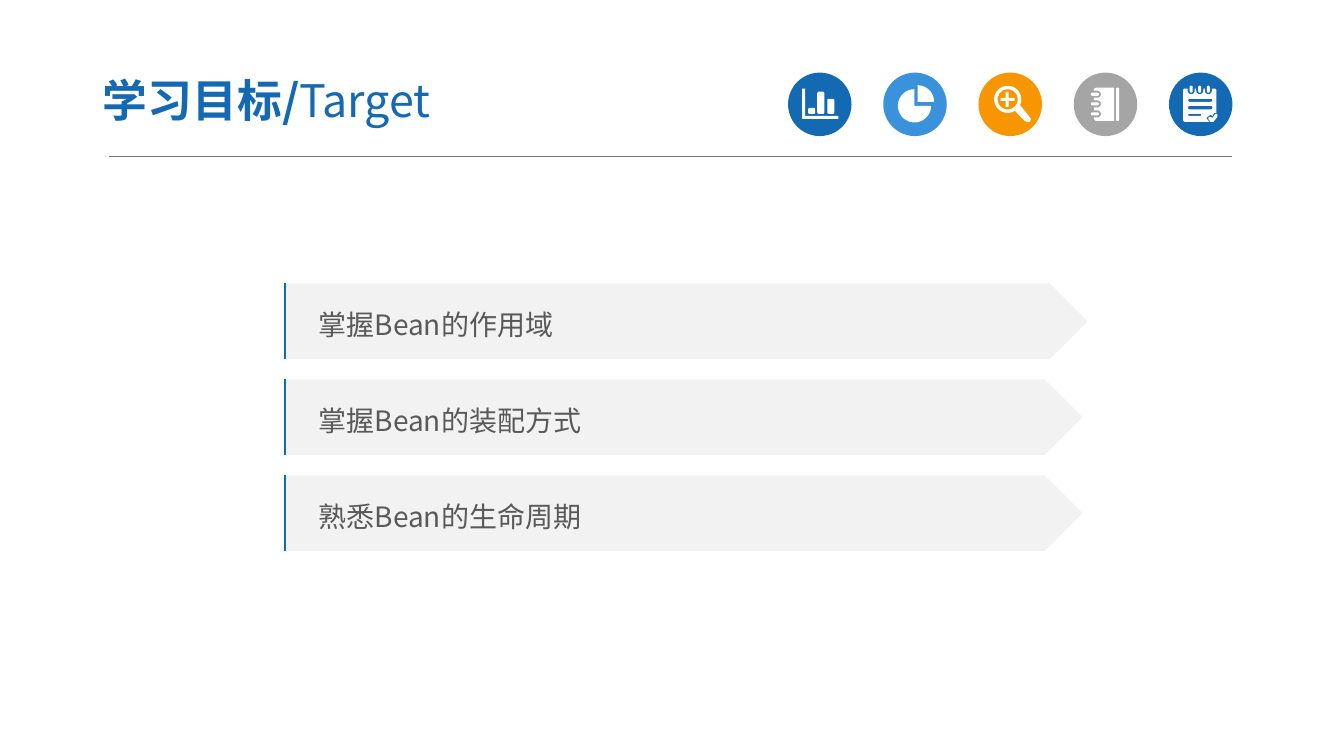
from math import cos, radians, sin

from lxml.etree import SubElement
from pptx import Presentation
from pptx.dml.color import RGBColor
from pptx.enum.shapes import MSO_CONNECTOR as Connector, MSO_SHAPE as Shape
from pptx.enum.text import MSO_ANCHOR as Anchor, MSO_AUTO_SIZE as AutoSize, PP_ALIGN as Align
from pptx.oxml.ns import qn
from pptx.util import Cm, Pt

COLORS = {
    "blue": "1369B2", "sky": "3992DB", "orange": "F79600", "gray": "A5A5A5",
    "white": "FFFFFF", "panel": "F2F2F2", "text": "595959", "rule": "767676",
}
FONT = "Noto Sans CJK SC"
BADGE_SIZE = 1.6
ICON_GRID = 63


def arc(x, y, radius, start=0, end=360):
    """Points along a circle, in degrees clockwise from the right."""
    steps = max(4, round(abs(end - start) / 10))
    angles = [radians(start + (end - start) * step / steps) for step in range(steps + 1)]
    return [(x + radius * cos(angle), y + radius * sin(angle)) for angle in angles]


def bar(left, top, right, bottom, radius=1.5):
    """Outline of a rounded rectangle."""
    return (arc(left + radius, top + radius, radius, 180, 270)
            + arc(right - radius, top + radius, radius, 270, 360)
            + arc(right - radius, bottom - radius, radius, 0, 90)
            + arc(left + radius, bottom - radius, radius, 90, 180))


# Each icon is a list of outlines on a square grid; inner outlines are holes.
def chart_icon():
    axes = [(14, 16), (17, 16), (17, 43), (50, 43), (50, 46), (14, 46)]
    columns = [(20, 35), (29, 19), (39, 26)]
    return [axes] + [bar(left, top, left + 7, 41) for left, top in columns]


def pie_icon():
    return [[(31, 33)] + arc(31, 33, 16.5, 0, 270),
            [(34, 29)] + arc(34, 29, 16.5, 270, 360)]


def magnifier_icon():
    handle = [(50, 43), (52, 46), (51, 49), (48, 49), (46, 48)]
    plus = [(27, 19), (30, 19), (30, 25), (36, 25), (36, 28), (30, 28),
            (30, 34), (27, 34), (27, 28), (22, 28), (22, 25), (27, 25)]
    return [arc(29, 26.5, 13.5, 58, 385) + handle, arc(29, 26.5, 10), plus]


def notebook_icon():
    rings = (41, 31, 21.5)
    cover = [(40, 15), (40, 48), (22, 48), (20, 46)]
    for y in rings:
        cover += [(20, y + 3.5)] + arc(23.5, y, 3.5, 90, -90) + [(20, y - 3.5)]
    cover += [(20, 16), (22, 15)]
    return [cover, bar(42, 15, 45, 48, 1)] + [bar(17, y - 1.5, 25, y + 1.5) for y in rings]


def checklist_icon():
    rings = (22, 30.5, 39)
    page = [(14, 17), (15, 16)]
    for x in rings:
        page += [(x - 3.5, 16)] + arc(x, 18, 3.5, 180, 0) + [(x + 3.5, 16)]
    page += [(46, 16), (47, 17), (47, 40), (45, 40), (43, 43), (41, 42),
             (37, 45), (40, 49), (16, 49), (14, 48)]
    check = [(48, 44), (44, 49), (41, 49), (39, 46), (39.5, 44), (41, 44),
             (43, 45), (46, 41), (48, 41)]
    lines = [bar(19, 26, 43, 29), bar(19, 33, 43, 36.5), bar(19, 41, 32, 43, 1)]
    return [page, check] + lines + [bar(x - 1.5, 13, x + 1.5, 20) for x in rings]


class SlideBuilder:
    """Holds the slide and the style shared by its elements."""

    def __init__(self, slide):
        self.slide = slide
        self.shapes = slide.shapes

    def color(self, name):
        return RGBColor.from_string(COLORS[name])

    def paint(self, shape, color):
        shape.fill.solid()
        shape.fill.fore_color.rgb = self.color(color)
        shape.line.fill.background()
        shape.shadow.inherit = False

    def style_run(self, run, size, color, bold=False):
        run.font.name = FONT
        run.font.size = Pt(size)
        run.font.bold = bold
        run.font.color.rgb = self.color(color)
        SubElement(run._r.get_or_add_rPr(), qn("a:ea")).set("typeface", FONT)

    def title(self, bold_text, light_text):
        title = self.shapes.title
        title.left, title.top, title.width, title.height = Cm(2.26), Cm(1.6), Cm(13.26), Cm(1.83)
        frame = title.text_frame
        frame.auto_size = AutoSize.NONE
        frame.word_wrap = True
        frame.vertical_anchor = Anchor.MIDDLE
        frame.margin_left = frame.margin_right = Cm(0.33)
        frame.margin_top = frame.margin_bottom = Cm(0.17)
        paragraph = frame.paragraphs[0]
        paragraph.alignment = Align.LEFT
        for text, bold in ((bold_text, True), (light_text, False)):
            run = paragraph.add_run()
            run.text = text
            self.style_run(run, 32, "blue", bold)

    def line(self, start, end, color, width):
        line = self.shapes.add_connector(
            Connector.STRAIGHT, *(Cm(value) for value in (*start, *end)))
        line.line.color.rgb = self.color(color)
        line.line.width = Pt(width)
        SubElement(line._element.spPr, qn("a:effectLst"))

    def badge(self, left, top, color, outlines):
        """A coloured disc with a white icon on it."""
        disc = self.shapes.add_shape(
            Shape.OVAL, Cm(left), Cm(top), Cm(BADGE_SIZE), Cm(BADGE_SIZE))
        self.paint(disc, color)
        unit = BADGE_SIZE / ICON_GRID
        placed = [[(Cm(left + x * unit), Cm(top + y * unit)) for x, y in outline]
                  for outline in outlines]
        builder = self.shapes.build_freeform(*placed[0][0])
        builder.add_line_segments(placed[0][1:])
        for outline in placed[1:]:
            builder.move_to(*outline[0])
            builder.add_line_segments(outline[1:])
        self.paint(builder.convert_to_shape(), "white")

    def goal(self, top, width, text):
        """An arrow-shaped panel with a blue left edge."""
        left, height = 7.14, 1.91
        panel = self.shapes.add_shape(
            Shape.PENTAGON, Cm(left), Cm(top), Cm(width), Cm(height))
        self.paint(panel, "panel")
        frame = panel.text_frame
        frame.text = text
        frame.word_wrap = True
        frame.vertical_anchor = Anchor.MIDDLE
        frame.margin_left = Cm(0.89)
        paragraph = frame.paragraphs[0]
        paragraph.alignment = Align.LEFT
        paragraph.line_spacing = 1.2
        self.style_run(paragraph.runs[0], 20, "text")
        edge = left + 0.04
        self.line((edge, top), (edge, top + height), "blue", 1.5)


def main():
    presentation = Presentation()
    presentation.slide_width, presentation.slide_height = Cm(33.87), Cm(19.05)
    builder = SlideBuilder(presentation.slides.add_slide(presentation.slide_layouts[5]))

    builder.title("学习目标/", "Target")
    builder.line((2.75, 3.94), (31.06, 3.94), "rule", 0.5)

    badges = [("blue", chart_icon), ("sky", pie_icon), ("orange", magnifier_icon),
              ("gray", notebook_icon), ("blue", checklist_icon)]
    for index, (color, icon) in enumerate(badges):
        builder.badge(19.86 + 2.4 * index, 1.83, color, icon())

    goals = [("掌握Bean的作用域", 20.27), ("掌握Bean的装配方式", 20.14),
             ("熟悉Bean的生命周期", 20.14)]
    for index, (text, width) in enumerate(goals):
        builder.goal(7.14 + 2.42 * index, width, text)

    presentation.save("out.pptx")


if __name__ == "__main__":
    main()
